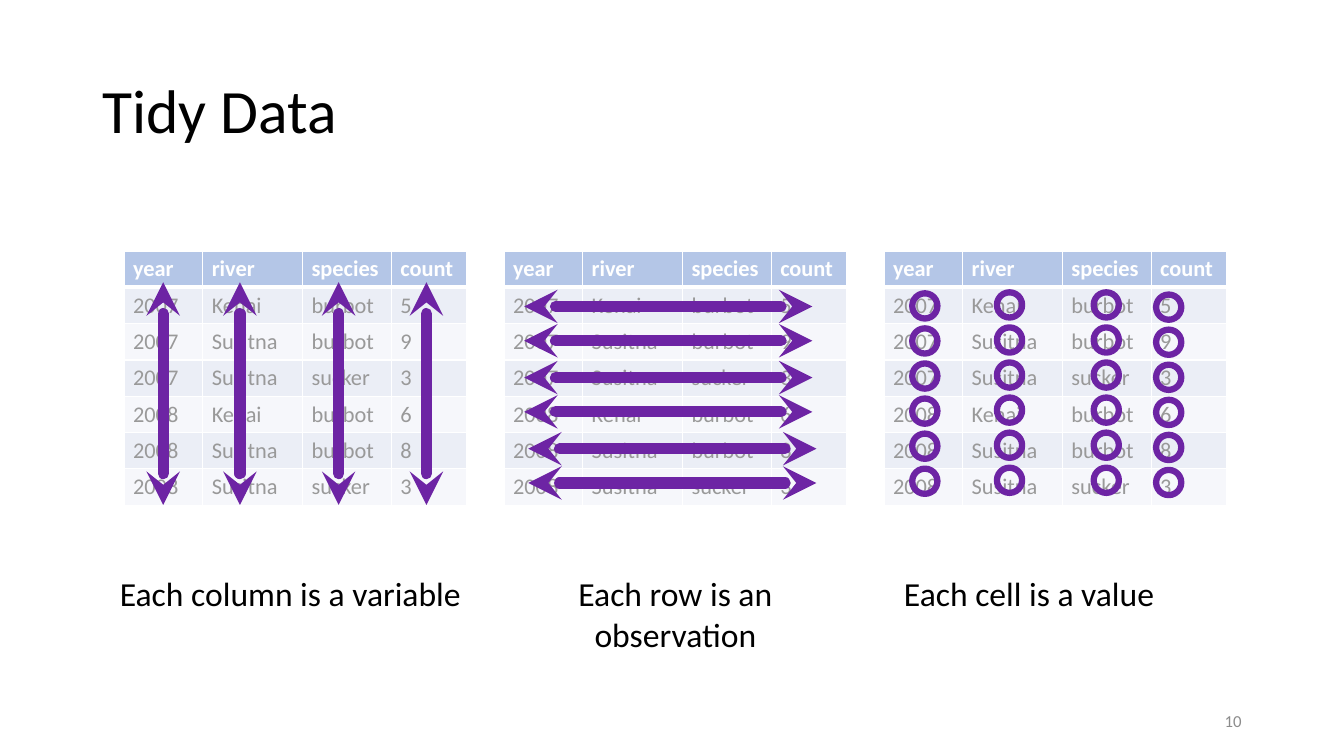
from itertools import product

from lxml.etree import SubElement
from pptx import Presentation
from pptx.dml.color import RGBColor
from pptx.enum.shapes import MSO_CONNECTOR, MSO_SHAPE
from pptx.enum.text import MSO_ANCHOR, MSO_AUTO_SIZE, PP_ALIGN
from pptx.oxml.ns import qn
from pptx.util import Pt

COLORS = {
    "ink": "000000",
    "white": "FFFFFF",
    "header": "4472C4",
    "odd_row": "CFD5EA",
    "even_row": "E9EBF5",
    "mark": "6D24A4",
    "page": "8C8C8C",
}
CATCHES = [
    ("year", "river", "species", "count"),
    ("2007", "Kenai", "burbot", "5"),
    ("2007", "Susitna", "burbot", "9"),
    ("2007", "Susitna", "sucker", "3"),
    ("2008", "Kenai", "burbot", "6"),
    ("2008", "Susitna", "burbot", "8"),
    ("2008", "Susitna", "sucker", "3"),
]
COLUMN_WIDTHS = (56.2, 71.3, 63.4, 54)
ROW_HEIGHT = 25.8


class TidySlide:
    """Holds the slide and draws its elements in one style, in points."""

    def __init__(self, slide, font="Calibri"):
        self.slide = slide
        self.font = font

    def color(self, name):
        return RGBColor.from_string(COLORS[name])

    def set_text(self, frame, text, size, color="ink", align=PP_ALIGN.LEFT, bold=False):
        frame.text = text
        paragraph = frame.paragraphs[0]
        paragraph.alignment = align
        font = paragraph.runs[0].font
        font.name, font.size, font.bold = self.font, Pt(size), bold
        font.color.rgb = self.color(color)
        return paragraph

    def title(self, text, left, top, width, height):
        heading = self.slide.shapes.title
        heading.left, heading.top = Pt(left), Pt(top)
        heading.width, heading.height = Pt(width), Pt(height)
        heading.text_frame.vertical_anchor = MSO_ANCHOR.MIDDLE
        self.set_text(heading.text_frame, text, 44).line_spacing = 0.9

    def label(self, text, left, top, width, height, size, color="ink",
              align=PP_ALIGN.CENTER, anchor=MSO_ANCHOR.TOP):
        box = self.slide.shapes.add_textbox(Pt(left), Pt(top), Pt(width), Pt(height))
        frame = box.text_frame
        frame.word_wrap = True
        frame.auto_size = MSO_AUTO_SIZE.NONE
        frame.vertical_anchor = anchor
        self.set_text(frame, text, size, color, align)

    def border(self, cell, side, width):
        properties = cell._tc.get_or_add_tcPr()
        edge = SubElement(properties, qn(f"a:ln{side}"), w=str(Pt(width)))
        fill = SubElement(edge, qn("a:solidFill"))
        SubElement(fill, qn("a:srgbClr"), val=COLORS["white"])

    def table(self, left, top):
        frame = self.slide.shapes.add_table(
            len(CATCHES), len(COLUMN_WIDTHS), Pt(left), Pt(top),
            Pt(sum(COLUMN_WIDTHS)), Pt(ROW_HEIGHT * len(CATCHES)))
        table = frame.table
        for column, width in zip(table.columns, COLUMN_WIDTHS):
            column.width = Pt(width)
        for row_index, record in enumerate(CATCHES):
            table.rows[row_index].height = Pt(ROW_HEIGHT)
            is_header = row_index == 0
            band = "header" if is_header else ("even_row", "odd_row")[row_index % 2]
            for column_index, value in enumerate(record):
                cell = table.cell(row_index, column_index)
                cell.margin_left = cell.margin_right = Pt(6.5)
                cell.margin_top = cell.margin_bottom = Pt(3.2)
                for side in "LRTB":
                    heavy = (row_index, side) in ((0, "B"), (1, "T"))
                    self.border(cell, side, 3 if heavy else 1)
                cell.fill.solid()
                cell.fill.fore_color.rgb = self.color(band)
                self.set_text(cell.text_frame, value, 16,
                              "white" if is_header else "ink", bold=is_header)

    def veil(self, left, top, width, height, opacity):
        sheet = self.slide.shapes.add_shape(
            MSO_SHAPE.RECTANGLE, Pt(left), Pt(top), Pt(width), Pt(height))
        sheet.shadow.inherit = False
        sheet.line.fill.background()
        sheet.fill.solid()
        sheet.fill.fore_color.rgb = self.color("white")
        tint = sheet._element.spPr.find(qn("a:solidFill"))[0]
        SubElement(tint, qn("a:alpha"), val=str(opacity * 1000))

    def group(self):
        return self.slide.shapes.add_group_shape().shapes

    def arrow(self, group, x1, y1, x2, y2):
        arrow = group.add_connector(
            MSO_CONNECTOR.STRAIGHT, Pt(x1), Pt(y1), Pt(x2), Pt(y2))
        arrow.line.width = Pt(8)
        arrow.line.color.rgb = self.color("mark")
        properties = arrow._element.spPr
        stroke = properties.find(qn("a:ln"))
        stroke.set("cap", "rnd")
        for end in ("headEnd", "tailEnd"):
            SubElement(stroke, qn(f"a:{end}"), type="stealth")
        SubElement(properties, qn("a:effectLst"))

    def ring(self, group, left, top, size):
        ring = group.add_shape(
            MSO_SHAPE.OVAL, Pt(left), Pt(top), Pt(size), Pt(size))
        ring.shadow.inherit = False
        ring.fill.background()
        ring.line.width = Pt(4.5)
        ring.line.color.rgb = self.color("mark")


def main():
    deck = Presentation()
    deck.slide_width, deck.slide_height = Pt(960), Pt(540)
    tidy = TidySlide(deck.slides.add_slide(deck.slide_layouts[5]))

    tidy.title("Tidy Data", 66, 28.8, 828, 104.4)
    tidy.label("10", 678, 500.5, 216, 28.8, 12, "page",
               PP_ALIGN.RIGHT, MSO_ANCHOR.MIDDLE)
    for table_left in (88.6, 360, 631.4):
        tidy.table(table_left, 179.3)
    tidy.veil(70.6, 168.5, 812.9, 193, 60)

    variables = tidy.group()
    for x in (116.6, 171.4, 241.9, 304.6):
        tidy.arrow(variables, x, 201.6, x, 360.7)

    tidy.label("Each column is a variable", 77.8, 406, 259.2, 36, 24)
    tidy.label("Each row is an observation", 360, 406, 244.8, 65.5, 24)
    tidy.label("Each cell is a value", 627.1, 406, 216, 36, 24)

    observations = tidy.group()
    for (pair, shift), gap in product(enumerate((0, 0, 2.9)), (0, 24.5)):
        y = 218.9 + 50.8 * pair + gap
        tidy.arrow(observations, 580.3 + shift, y, 374.4 + shift, y)

    for row in range(len(CATCHES) - 1):
        values = tidy.group()
        for left, top in ((651.6, 209.5), (712.1, 208.8), (781.2, 208.8), (825.8, 210.4)):
            tidy.ring(values, left, top + 25.05 * row, 18)

    deck.save("out.pptx")


if __name__ == "__main__":
    main()
